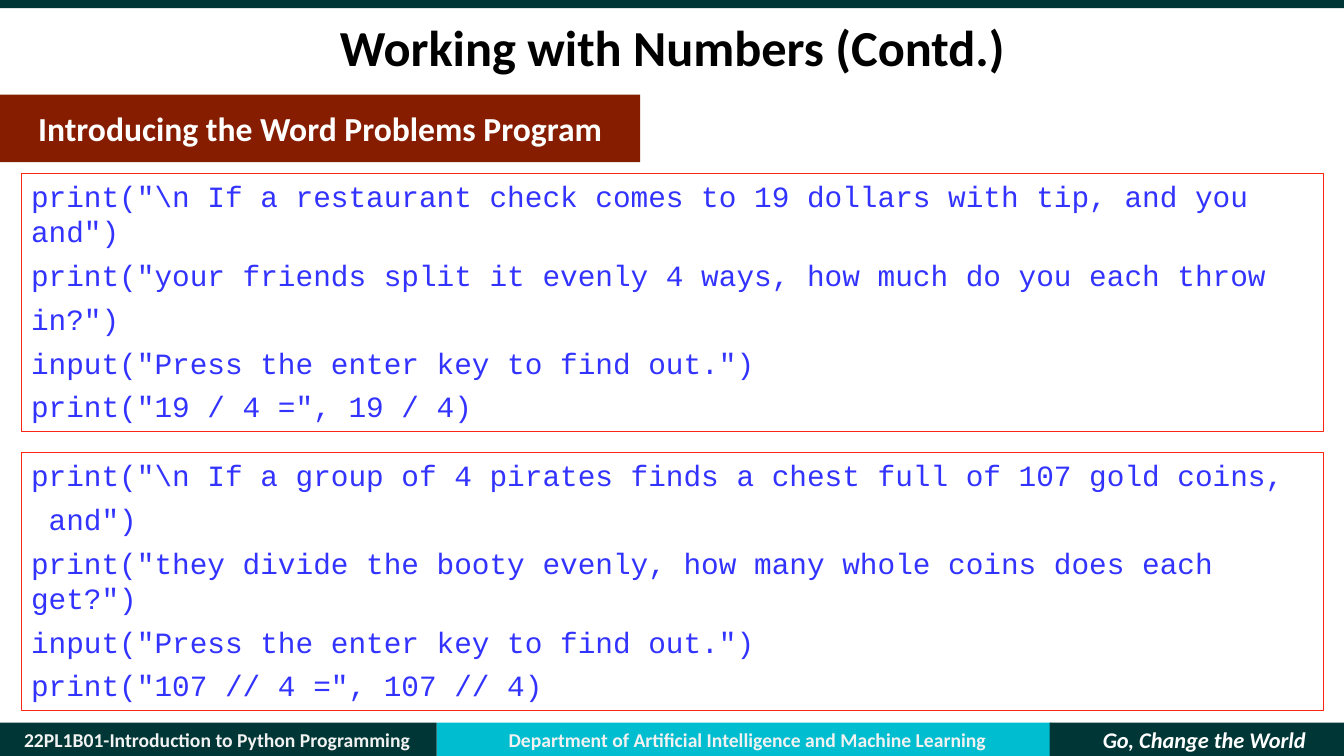
from pptx import Presentation
from pptx.dml.color import RGBColor
from pptx.enum.shapes import MSO_SHAPE
from pptx.enum.text import MSO_ANCHOR, PP_ALIGN
from pptx.util import Inches, Pt

DARK, TEAL, MAROON = "003736", "00BDD0", "861D00"
RED, BLUE, PALE, WHITE, BLACK = "FA2512", "3333FF", "F2F2F2", "FFFFFF", "000000"

BANDS = [
    ((4.33, 7.17, 6.1, 0.34), TEAL),
    ((-0.02, 7.17, 4.35, 0.34), DARK),
    ((0, -0.04, 13.33, 0.12), DARK),
    ((10.41, 7.17, 2.92, 0.34), DARK),
]
FOOTERS = [
    ("Department of Artificial Intelligence and Machine Learning",
     (4.91, 7.17, 5.01, 0.34), 14, PALE, False),
    ("22PL1B01-Introduction to Python Programming",
     (-0.02, 7.17, 4.35, 0.34), 14, PALE, False),
    ("Go, Change the World", (10.82, 7.15, 2.25, 0.37), 16, WHITE, True),
]
TITLE = "Working with Numbers (Contd.)"
HEADING = "Introducing the Word Problems Program"
PROGRAMS = [
    [
        r'print("\n If a restaurant check comes to 19 dollars with tip, and you and")',
        'print("your friends split it evenly 4 ways, how much do you each throw',
        'in?")',
        'input("Press the enter key to find out.")',
        'print("19 / 4 =", 19 / 4)',
    ],
    [
        r'print("\n If a group of 4 pirates finds a chest full of 107 gold coins,',
        ' and")',
        'print("they divide the booty evenly, how many whole coins does each get?")',
        'input("Press the enter key to find out.")',
        'print("107 // 4 =", 107 // 4)',
    ],
]
PROGRAM_TOP, PROGRAM_STEP = 1.72, 2.77


def color(hex_code):
    return RGBColor.from_string(hex_code)


def add_rect(slide, box, fill=None, line=None):
    rect = slide.shapes.add_shape(MSO_SHAPE.RECTANGLE, *map(Inches, box))
    rect.shadow.inherit = False
    if fill:
        rect.fill.solid()
        rect.fill.fore_color.rgb = color(fill)
    else:
        rect.fill.background()
    if line:
        rect.line.color.rgb = color(line)
        rect.line.width = Pt(0.75)
    else:
        rect.line.fill.background()
    return rect


def add_label(slide, box):
    return slide.shapes.add_textbox(*map(Inches, box))


def write(holder, lines, size, ink, font="Calibri", bold=True, italic=False,
          align=PP_ALIGN.CENTER, anchor=MSO_ANCHOR.TOP, after=0, spacing=1.0):
    frame = holder.text_frame
    frame.word_wrap = True
    frame.vertical_anchor = anchor
    frame.text = "\n".join(lines)
    for paragraph in frame.paragraphs:
        paragraph.alignment = align
        paragraph.space_after = Pt(after)
        paragraph.line_spacing = spacing
        paragraph.font.name = font
        paragraph.font.size = Pt(size)
        paragraph.font.bold = bold
        paragraph.font.italic = italic
        paragraph.font.color.rgb = color(ink)


def main():
    deck = Presentation()
    deck.slide_width, deck.slide_height = Inches(13.33), Inches(7.5)
    slide = deck.slides.add_slide(deck.slide_layouts[6])

    for box, fill in BANDS:
        add_rect(slide, box, fill)
    for words, box, size, ink, italic in FOOTERS:
        write(add_label(slide, box), [words], size, ink, italic=italic)

    write(add_label(slide, (0.92, 0.16, 11.5, 0.67)), [TITLE], 36, BLACK,
          anchor=MSO_ANCHOR.MIDDLE, spacing=0.9)
    write(add_rect(slide, (0, 0.94, 6.35, 0.67), MAROON), [HEADING], 24, WHITE,
          anchor=MSO_ANCHOR.MIDDLE)

    for index, program in enumerate(PROGRAMS):
        top = PROGRAM_TOP + index * PROGRAM_STEP
        write(add_rect(slide, (0.21, top, 12.92, 2.56), line=RED), program, 21, BLUE,
              font="Courier New", bold=False, align=PP_ALIGN.LEFT, after=6)

    deck.save("out.pptx")


if __name__ == "__main__":
    main()
